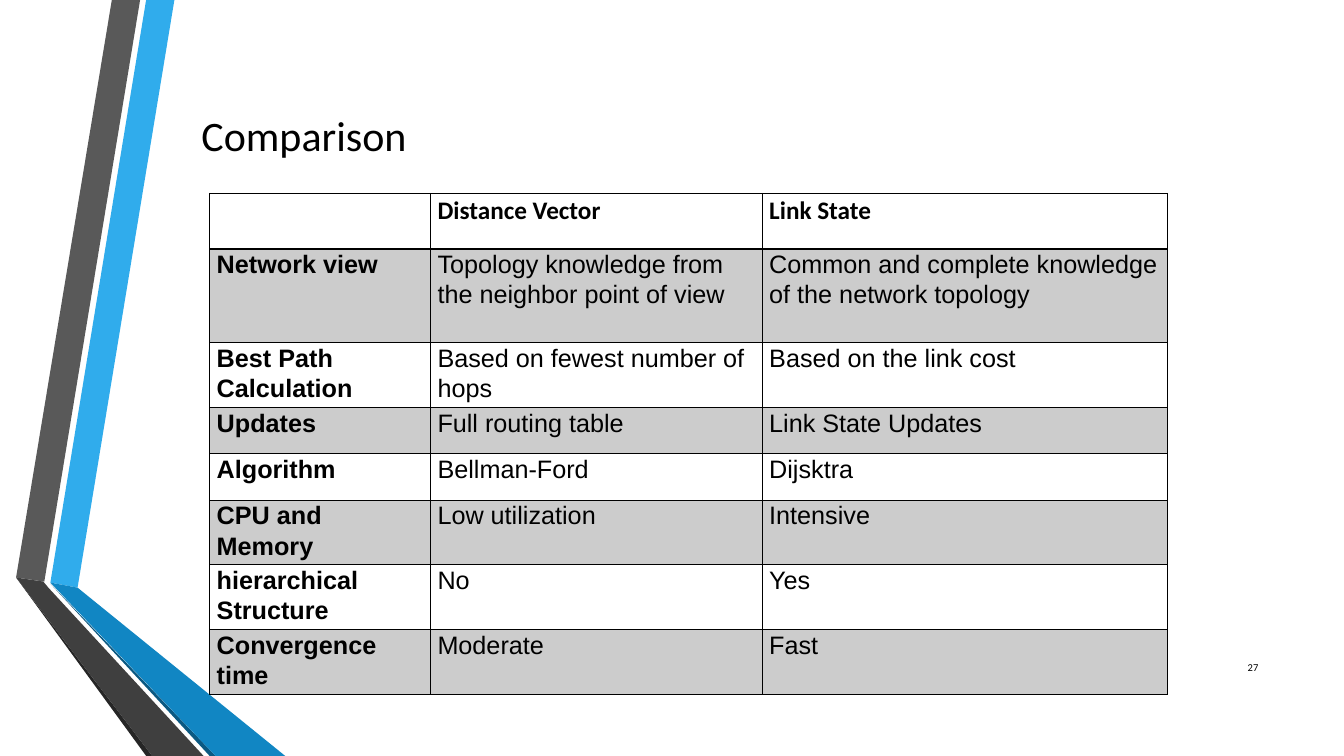
from lxml.etree import SubElement as Sub
from pptx import Presentation
from pptx.dml.color import RGBColor as RGB
from pptx.enum.text import MSO_ANCHOR as Anchor, PP_ALIGN as Align
from pptx.oxml.ns import qn
from pptx.util import Pt

SCALE = 9144
BLACK = RGB(0, 0, 0)
BAND = RGB(0xCC, 0xCC, 0xCC)
SKY = RGB(0x30, 0xAC, 0xEC)
BLUE = RGB(0x11, 0x86, 0xC3)
NAVY = RGB(0x0B, 0x59, 0x82)
GREY = RGB(0x59, 0x59, 0x59)
DARK = RGB(0x3F, 0x3F, 0x3F)
COAL = RGB(0x26, 0x26, 0x26)

RIBBONS = [
    (SKY, [(50, 578), (77, 583), (173, 0), (145, 0)]),
    (GREY, [(139, 0), (111, 0), (16, 573), (44, 577)]),
    (COAL, [(16, 573), (145, 750), (151, 750)]),
    (NAVY, [(50, 579), (208, 750), (214, 750)]),
    (BLUE, [(50, 578), (214, 750), (283, 750), (77, 583)]),
    (DARK, [(202, 750), (48, 583), (43, 577), (16, 573), (151, 750)]),
]
COLS = [219, 329, 402]
ROWS = [55, 93] + [46] * 6
CELLS = [
    ("", "Distance Vector", "Link State"),
    ("Network view", "Topology knowledge from the neighbor point of view",
     "Common and complete knowledge of the network topology"),
    ("Best Path Calculation", "Based on fewest number of hops", "Based on the link cost"),
    ("Updates", "Full routing table", "Link State Updates"),
    ("Algorithm", "Bellman-Ford", "Dijsktra"),
    ("CPU and Memory", "Low utilization", "Intensive"),
    ("hierarchical Structure", "No", "Yes"),
    ("Convergence time", "Moderate", "Fast"),
]


def px(*nums):
    return [n * SCALE for n in nums]


class Deck:
    head = "Calibri"
    body = "Arial"
    ink = BLACK

    def __init__(self, wide, high):
        self.show = Presentation()
        self.show.slide_width, self.show.slide_height = px(wide, high)
        self.slide = self.show.slides.add_slide(self.show.slide_layouts[6])

    def style(self, para, size, face, bold=False):
        font = para.font
        font.size, font.name, font.bold = Pt(size), face, bold
        font.color.rgb = self.ink

    def ribbon(self, color, points):
        form = self.slide.shapes.build_freeform(*points[0], scale=SCALE)
        form.add_line_segments(points[1:])
        shape = form.convert_to_shape()
        shape.shadow.inherit = False
        shape.fill.solid()
        shape.fill.fore_color.rgb = color
        shape.line.fill.background()

    def text(self, words, box, size, align=Align.LEFT):
        frame = self.slide.shapes.add_textbox(*px(*box)).text_frame
        frame.word_wrap = True
        frame.vertical_anchor = Anchor.MIDDLE
        para = frame.paragraphs[0]
        para.text, para.alignment = words, align
        self.style(para, size, self.head)

    def border(self, cell, widths):
        props = cell._tc.get_or_add_tcPr()
        for side, width in zip("LRTB", widths):
            line = Sub(props, qn(f"a:ln{side}"), w=str(Pt(width)))
            fill = Sub(line, qn("a:solidFill"))
            Sub(fill, qn("a:srgbClr"), val=str(self.ink))

    def cell(self, cell, words, row, col):
        self.border(cell, (1, 1, 2 if row == 1 else 1, 1 if row else 2))
        if row % 2:
            cell.fill.solid()
            cell.fill.fore_color.rgb = BAND
        else:
            cell.fill.background()
        cell.margin_left, cell.margin_right = px(7, 7)
        cell.margin_top = cell.margin_bottom = 0
        para = cell.text_frame.paragraphs[0]
        para.text, para.line_spacing = words, 1.07
        self.style(para, 18, self.body if row else self.head, row == 0 or col == 0)

    def table(self, cells, left, top, cols, rows):
        box = px(left, top, sum(cols), sum(rows))
        grid = self.slide.shapes.add_table(len(rows), len(cols), *box).table
        grid.first_row = grid.horz_banding = False
        for col, width in zip(grid.columns, px(*cols)):
            col.width = width
        for row, height in zip(grid.rows, px(*rows)):
            row.height = height
        for r, line in enumerate(cells):
            for c, words in enumerate(line):
                self.cell(grid.cell(r, c), words, r, c)


def main():
    deck = Deck(1333, 750)
    for color, points in RIBBONS:
        deck.ribbon(color, points)
    deck.text("Comparison", (190, 75, 1096, 117), 30)
    deck.table(CELLS, 208, 192, COLS, ROWS)
    deck.text("27", (1198, 642, 60, 40), 7.5, Align.RIGHT)
    deck.show.save("out.pptx")


if __name__ == "__main__":
    main()
